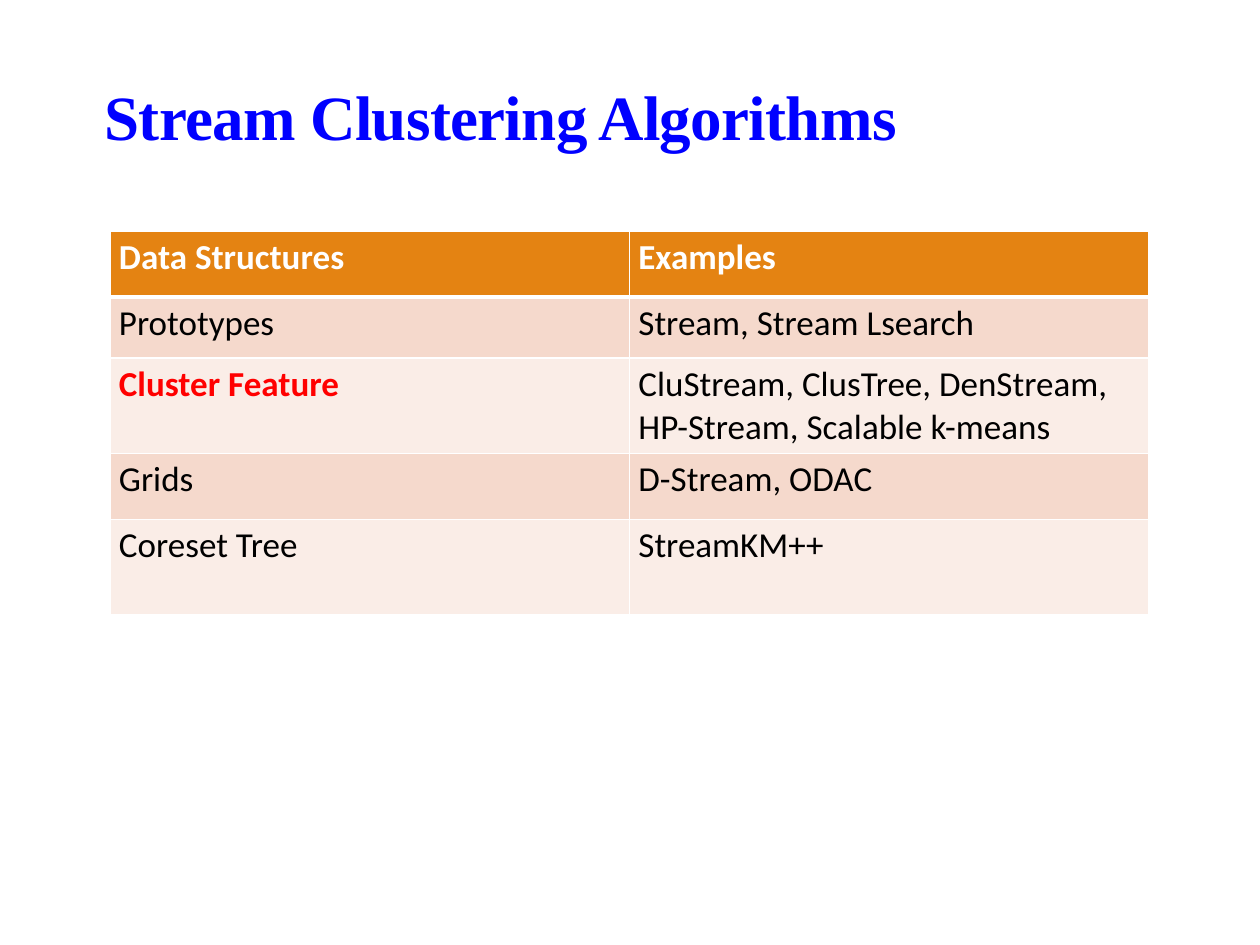
"""Build the slide on stream clustering algorithms."""
import pptx
import pptx.dml.color
import pptx.enum.text
import pptx.oxml.ns
import pptx.util
from lxml import etree

RGBColor = pptx.dml.color.RGBColor
BLUE = RGBColor(0x00, 0x00, 0xFF)
WHITE = RGBColor(0xFF, 0xFF, 0xFF)
BLACK = RGBColor(0x00, 0x00, 0x00)
RED = RGBColor(0xFF, 0x00, 0x00)
ORANGE = RGBColor(0xE4, 0x83, 0x12)
PEACH = RGBColor(0xF5, 0xD9, 0xCC)
PALE_PEACH = RGBColor(0xFA, 0xED, 0xE7)

EMU_PER_PX = 914400 // 126
ROWS = [
    ("Data Structures", "Examples"),
    ("Prototypes", "Stream, Stream Lsearch"),
    ("Cluster Feature", "CluStream, ClusTree, DenStream, HP-Stream, Scalable k-means"),
    ("Grids", "D-Stream, ODAC"),
    ("Coreset Tree", "StreamKM++"),
]
ROW_HEIGHTS = [66, 61, 95, 66, 95]
HIGHLIGHT = "Cluster Feature"


def px(length):
    return pptx.util.Emu(length * EMU_PER_PX)


class SlideBuilder:
    """Hold the style and the current slide."""

    title_font = "Times New Roman"
    body_font = "Calibri"

    def __init__(self, slide):
        self.slide = slide

    def format_font(self, run, name, size, color, bold):
        run.font.name = name
        run.font.size = pptx.util.Pt(size)
        run.font.color.rgb = color
        run.font.bold = bold

    def title(self, text, left, top, width, height):
        shape = self.slide.shapes.title
        shape.left, shape.top = px(left), px(top)
        shape.width, shape.height = px(width), px(height)
        frame = shape.text_frame
        frame.text = text
        frame.word_wrap = True
        frame.auto_size = pptx.enum.text.MSO_AUTO_SIZE.NONE
        frame.vertical_anchor = pptx.enum.text.MSO_ANCHOR.BOTTOM
        paragraph = frame.paragraphs[0]
        paragraph.alignment = pptx.enum.text.PP_ALIGN.LEFT
        paragraph.line_spacing = 0.85
        run = paragraph.runs[0]
        self.format_font(run, self.title_font, 36, BLUE, True)
        run.font._element.set("spc", "-40")

    def border(self, cell, side, points):
        properties = cell._tc.get_or_add_tcPr()
        line = etree.SubElement(properties, pptx.oxml.ns.qn(f"a:ln{side}"),
                                w=str(pptx.util.Pt(points)))
        fill = etree.SubElement(line, pptx.oxml.ns.qn("a:solidFill"))
        etree.SubElement(fill, pptx.oxml.ns.qn("a:srgbClr"), val=str(WHITE))

    def cell(self, cell, text, row_index):
        header = row_index == 0
        highlighted = text == HIGHLIGHT
        widths = {"L": 1, "R": 1, "T": 3 if row_index == 1 else 1, "B": 3 if header else 1}
        for side, points in widths.items():
            self.border(cell, side, points)
        cell.fill.solid()
        cell.fill.fore_color.rgb = ORANGE if header else PEACH if row_index % 2 else PALE_PEACH
        cell.margin_left = cell.margin_right = px(9)
        cell.margin_top = cell.margin_bottom = px(5)
        cell.text_frame.text = text
        color = WHITE if header else RED if highlighted else BLACK
        self.format_font(cell.text_frame.paragraphs[0].runs[0], self.body_font, 20,
                         color, header or highlighted)

    def table(self, rows, heights, left, top, width):
        frame = self.slide.shapes.add_table(len(rows), len(rows[0]), px(left), px(top),
                                            px(width), px(sum(heights)))
        for row_index, (texts, height) in enumerate(zip(rows, heights)):
            frame.table.rows[row_index].height = px(height)
            for column_index, text in enumerate(texts):
                self.cell(frame.table.cell(row_index, column_index), text, row_index)


def main():
    presentation = pptx.Presentation()
    presentation.slide_width = pptx.util.Inches(10)
    presentation.slide_height = pptx.util.Inches(7.5)
    slide = presentation.slides.add_slide(presentation.slide_layouts.get_by_name("Title Only"))
    builder = SlideBuilder(slide)
    builder.title("Stream Clustering Algorithms", 92, 74, 1040, 86)
    builder.table(ROWS, ROW_HEIGHTS, 110, 231, 1039)
    presentation.save("out.pptx")


if __name__ == "__main__":
    main()
